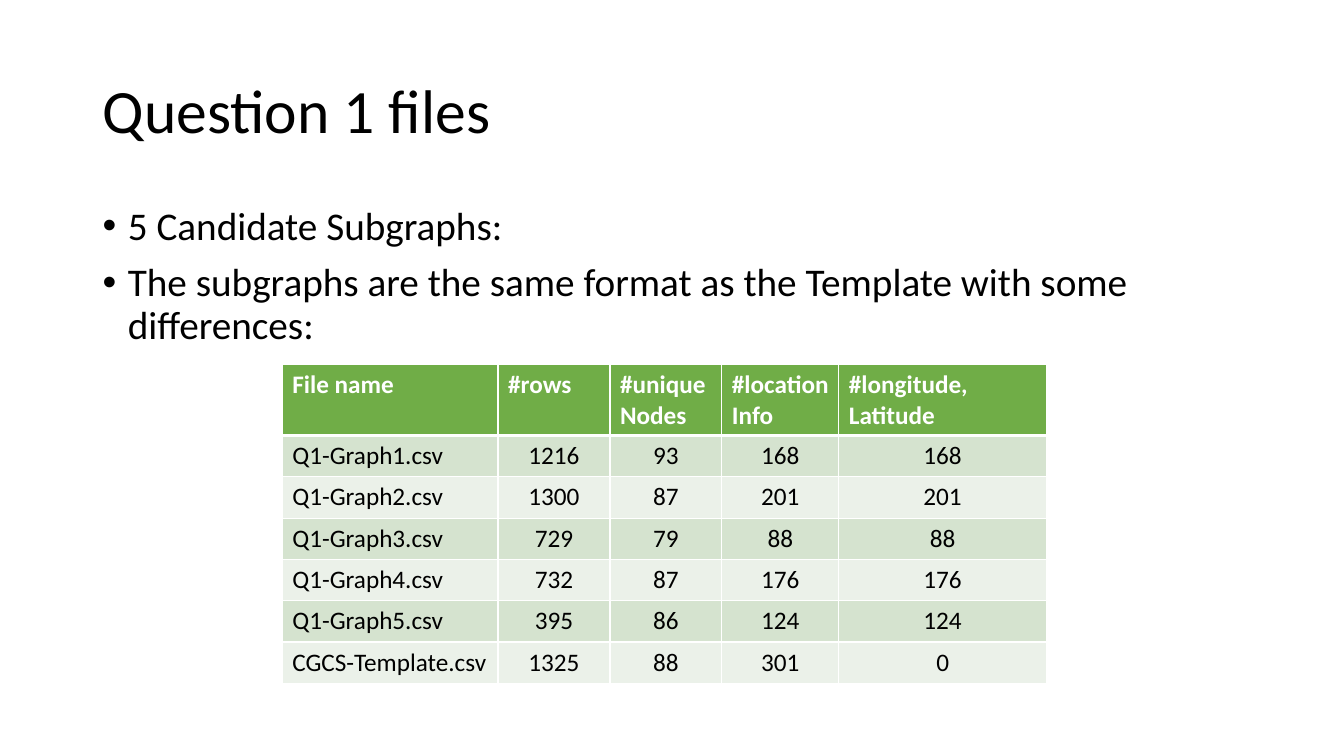
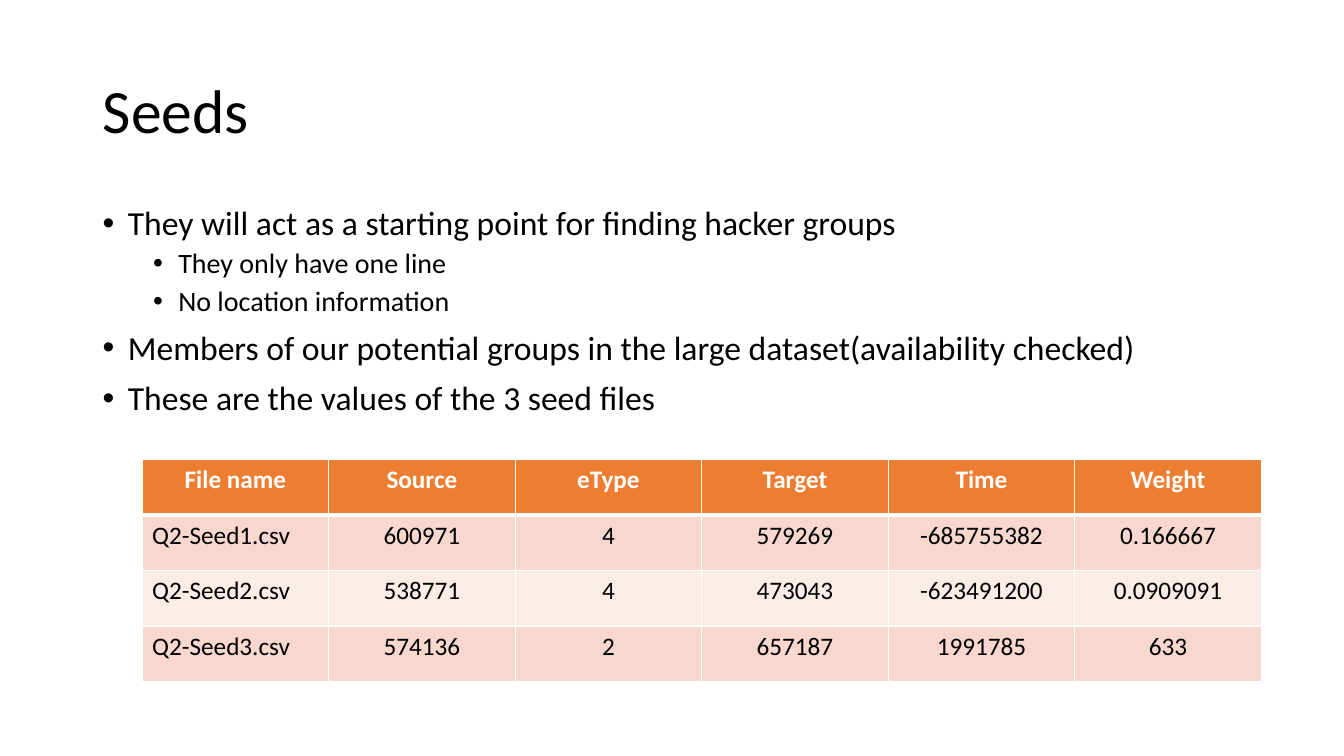
from dataclasses import dataclass

from lxml.etree import SubElement
from pptx import Presentation
from pptx.dml.color import RGBColor
from pptx.enum.text import MSO_ANCHOR, PP_ALIGN
from pptx.oxml.ns import qn
from pptx.util import Inches, Pt


@dataclass(frozen=True)
class Theme:
    """Colours, font and type sizes shared by the slides."""
    font: str = "Calibri"
    ink: str = "000000"
    paper: str = "FFFFFF"
    green: tuple = ("70AD47", "D5E3CF", "EBF1E9")
    orange: tuple = ("ED7D31", "F8D7CE", "FCECE8")
    title: int = 44
    cell: int = 18
    line_spacing: float = 0.9
    grid_line: int = 1
    header_line: int = 3


THEME = Theme()


def add_run(paragraph, text, size, color=THEME.ink, bold=False):
    """Add one formatted run to a paragraph."""
    run = paragraph.add_run()
    run.text = text
    run.font.name = THEME.font
    run.font.size = Pt(size)
    run.font.bold = bold
    run.font.color.rgb = RGBColor.from_string(color)


def add_border(cell, edge, width):
    """Draw one edge of a table cell in the paper colour."""
    line = SubElement(cell._tc.get_or_add_tcPr(), qn(f"a:{edge}"), w=str(Pt(width)))
    SubElement(SubElement(line, qn("a:solidFill")), qn("a:srgbClr"), val=THEME.paper)


# Bullets are (level, size, text); table boxes are (left, top).
SLIDES = [
    {
        "title": "Question 1 files",
        "bullets": [
            (0, 28, "5 Candidate Subgraphs:"),
            (0, 28, "The subgraphs are the same format as the Template with some differences:"),
        ],
        "position": (2.8, 3.62),
        "widths": [2.14, 1.11, 1.11, 1.16, 2.06],
        "heights": [0.67] + [0.41] * 6,
        "palette": THEME.green,
        "header_align": PP_ALIGN.LEFT,
        "rows": [
            ["File name", "#rows", "#unique Nodes", "#location Info", "#longitude, Latitude"],
            ["Q1-Graph1.csv", "1216", "93", "168", "168"],
            ["Q1-Graph2.csv", "1300", "87", "201", "201"],
            ["Q1-Graph3.csv", "729", "79", "88", "88"],
            ["Q1-Graph4.csv", "732", "87", "176", "176"],
            ["Q1-Graph5.csv", "395", "86", "124", "124"],
            ["CGCS-Template.csv", "1325", "88", "301", "0"],
        ],
    },
    {
        "title": "Seeds",
        "bullets": [
            (0, 24, "They will act as a starting point for finding hacker groups"),
            (1, 20, "They only have one line"),
            (1, 20, "No location information"),
            (0, 24, "Members of our potential groups in the large dataset(availability checked)"),
            (0, 24, "These are the values of the 3 seed files"),
        ],
        "position": (1.41, 4.56),
        "widths": [1.85] * 6,
        "heights": [0.55] * 4,
        "palette": THEME.orange,
        "header_align": PP_ALIGN.CENTER,
        "rows": [
            ["File name", "Source", "eType", "Target", "Time", "Weight"],
            ["Q2-Seed1.csv", "600971", "4", "579269", "-685755382", "0.166667"],
            ["Q2-Seed2.csv", "538771", "4", "473043", "-623491200", "0.0909091"],
            ["Q2-Seed3.csv", "574136", "2", "657187", "1991785", "633"],
        ],
    },
]

deck = Presentation()
deck.slide_width, deck.slide_height = Inches(13.33), Inches(7.5)
title_only = deck.slide_layouts[5]

for content in SLIDES:
    slide = deck.slides.add_slide(title_only)

    # Title
    title = slide.shapes.title
    title.left, title.top = Inches(0.92), Inches(0.4)
    title.width, title.height = Inches(11.5), Inches(1.45)
    title.text_frame.vertical_anchor = MSO_ANCHOR.MIDDLE
    heading = title.text_frame.paragraphs[0]
    heading.alignment = PP_ALIGN.LEFT
    heading.line_spacing = THEME.line_spacing
    add_run(heading, content["title"], THEME.title)

    # Bullets
    body = slide.shapes.add_textbox(Inches(0.92), Inches(2), Inches(11.5), Inches(4.76))
    body.text_frame.word_wrap = True
    for index, (level, size, text) in enumerate(content["bullets"]):
        point = body.text_frame.add_paragraph() if index else body.text_frame.paragraphs[0]
        point.level = level
        point.line_spacing = THEME.line_spacing
        point.space_before = Pt(5 if level else 10)
        properties = point._p.get_or_add_pPr()
        properties.set("marL", str(Inches(0.25 + 0.5 * level)))
        properties.set("indent", str(Inches(-0.25)))
        SubElement(properties, qn("a:buFont"), typeface="Arial")
        SubElement(properties, qn("a:buChar"), char="•")
        add_run(point, text, size)

    # Table
    rows, widths, heights = content["rows"], content["widths"], content["heights"]
    left, top = content["position"]
    table = slide.shapes.add_table(
        len(rows), len(widths), Inches(left), Inches(top),
        Inches(sum(widths)), Inches(sum(heights))).table
    for column, width in zip(table.columns, widths):
        column.width = Inches(width)
    header_fill, odd_fill, even_fill = content["palette"]
    for r, values in enumerate(rows):
        table.rows[r].height = Inches(heights[r])
        is_header = r == 0
        fill = header_fill if is_header else odd_fill if r % 2 else even_fill
        top_line = THEME.header_line if r == 1 else THEME.grid_line
        bottom_line = THEME.header_line if is_header else THEME.grid_line
        for c, value in enumerate(values):
            cell = table.cell(r, c)
            for edge, width in (("lnL", THEME.grid_line), ("lnR", THEME.grid_line),
                                ("lnT", top_line), ("lnB", bottom_line)):
                add_border(cell, edge, width)
            cell.fill.solid()
            cell.fill.fore_color.rgb = RGBColor.from_string(fill)
            entry = cell.text_frame.paragraphs[0]
            if is_header:
                entry.alignment = content["header_align"]
            else:
                entry.alignment = PP_ALIGN.CENTER if c else PP_ALIGN.LEFT
            add_run(entry, value, THEME.cell,
                    THEME.paper if is_header else THEME.ink, is_header)

deck.save("out.pptx")
